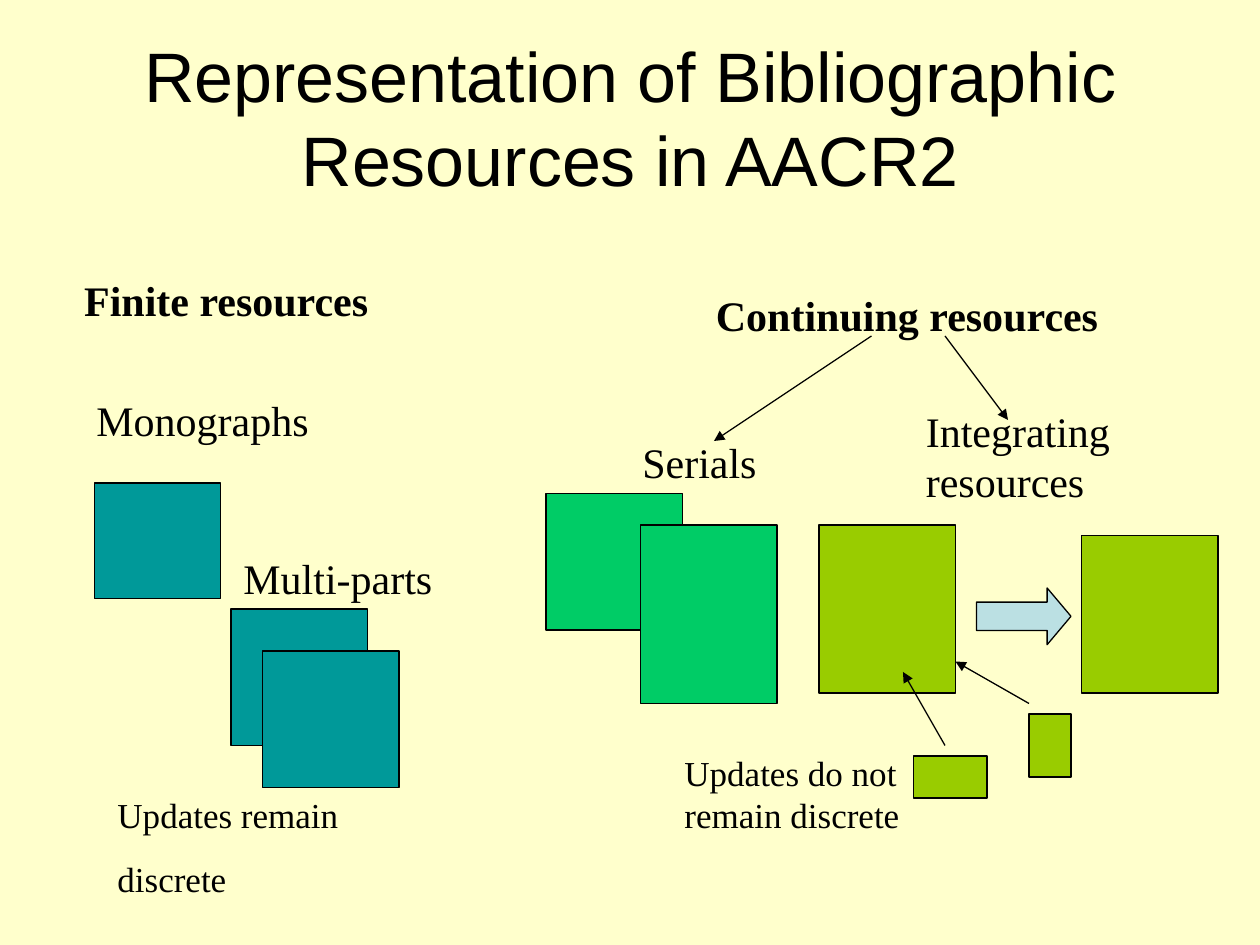
from lxml.etree import SubElement
from pptx import Presentation
from pptx.dml.color import RGBColor
from pptx.enum.shapes import MSO_CONNECTOR, MSO_SHAPE
from pptx.enum.text import MSO_ANCHOR, MSO_AUTO_SIZE, PP_ALIGN
from pptx.oxml.ns import qn
from pptx.util import Inches, Pt

CREAM = RGBColor(0xFF, 0xFF, 0xCC)
BLACK = RGBColor(0x00, 0x00, 0x00)
TEAL = RGBColor(0x00, 0x99, 0x99)
GREEN = RGBColor(0x00, 0xCC, 0x66)
OLIVE = RGBColor(0x99, 0xCC, 0x00)
PALE_BLUE = RGBColor(0xBB, 0xE0, 0xE3)

COLS, ROWS = 120, 90
CELL = Inches(10) / COLS
LINE_WIDTH = Pt(0.75)


def grid(*cells):
    """Turn grid columns and rows into lengths."""
    return [round(n * CELL) for n in cells]


def add_run(p, text, size, font="Times New Roman", bold=False):
    r = p.add_run()
    r.text = text
    r.font.name, r.font.size, r.font.bold = font, Pt(size), bold
    r.font.color.rgb = BLACK


def set_title(s, text):
    title = s.shapes.title
    title.left, title.top, title.width, title.height = grid(6, 3.6, 108, 15)
    tf = title.text_frame
    tf.word_wrap = True
    tf.vertical_anchor = MSO_ANCHOR.MIDDLE
    tf.auto_size = MSO_AUTO_SIZE.NONE
    p = tf.paragraphs[0]
    p.alignment = PP_ALIGN.CENTER
    add_run(p, text, 40, "Arial")


def add_label(s, cells, lines, size=24, bold=False):
    tf = s.shapes.add_textbox(*grid(*cells)).text_frame
    tf.word_wrap = True
    for i, line in enumerate(lines):
        p = tf.add_paragraph() if i else tf.paragraphs[0]
        if i:
            p.space_before = Pt(12.5)
        add_run(p, line, size, bold=bold)


def add_block(s, cells, color, kind=MSO_SHAPE.RECTANGLE):
    sp = s.shapes.add_shape(kind, *grid(*cells))
    sp.shadow.inherit = False
    sp.fill.solid()
    sp.fill.fore_color.rgb = color
    sp.line.color.rgb = BLACK
    sp.line.width = LINE_WIDTH
    return sp


def add_arrow(s, cells):
    """Draw a line with a head at its end; cells are x1, y1, x2, y2."""
    line = s.shapes.add_connector(MSO_CONNECTOR.STRAIGHT, *grid(*cells))
    line.line.color.rgb = BLACK
    line.line.width = LINE_WIDTH
    SubElement(line.line._get_or_add_ln(), qn("a:tailEnd"), type="triangle")
    SubElement(line._element.spPr, qn("a:effectLst"))


def add_finite_resources(s):
    for cells in [(9, 46, 12, 11), (22, 58, 13, 13), (25, 62, 13, 13)]:
        add_block(s, cells, TEAL)
    add_label(s, (6.84, 25.6, 30, 6), ["Finite resources"], bold=True)
    add_label(s, (8, 37, 25, 6), ["Monographs"])
    add_label(s, (22, 52, 26, 6), ["Multi-parts"])
    add_label(s, (10, 75, 40, 11.3), ["Updates remain", "discrete"], 20)


def add_continuing_resources(s):
    add_label(s, (67, 27, 47, 6), ["Continuing resources"], bold=True)
    add_label(s, (60, 41, 14, 6), ["Serials"])
    for cells in [(52, 47, 13, 13), (61, 50, 13, 17)]:
        add_block(s, cells, GREEN)

    add_label(s, (87, 38, 29, 10.8), ["Integrating resources"])
    for cells in [(78, 50, 13, 16), (103, 51, 13, 15),
                  (87, 72, 7, 4), (98, 68, 4, 6)]:
        add_block(s, cells, OLIVE)
    change = add_block(s, (93, 56, 9, 5.4), PALE_BLUE, MSO_SHAPE.RIGHT_ARROW)
    change.adjustments[1] = 0.42
    add_label(s, (64, 71, 23, 9.2), ["Updates do not remain discrete"], 20)

    for cells in [(83, 32, 68, 42), (90, 32, 96, 40),
                  (98, 67, 91, 63), (90, 71, 86, 64)]:
        add_arrow(s, cells)


def main():
    prs = Presentation()
    prs.slide_width, prs.slide_height = grid(COLS, ROWS)
    s = prs.slides.add_slide(prs.slide_layouts[5])
    s.background.fill.solid()
    s.background.fill.fore_color.rgb = CREAM
    set_title(s, "Representation of Bibliographic Resources in AACR2")
    add_finite_resources(s)
    add_continuing_resources(s)
    prs.save("out.pptx")


if __name__ == "__main__":
    main()
